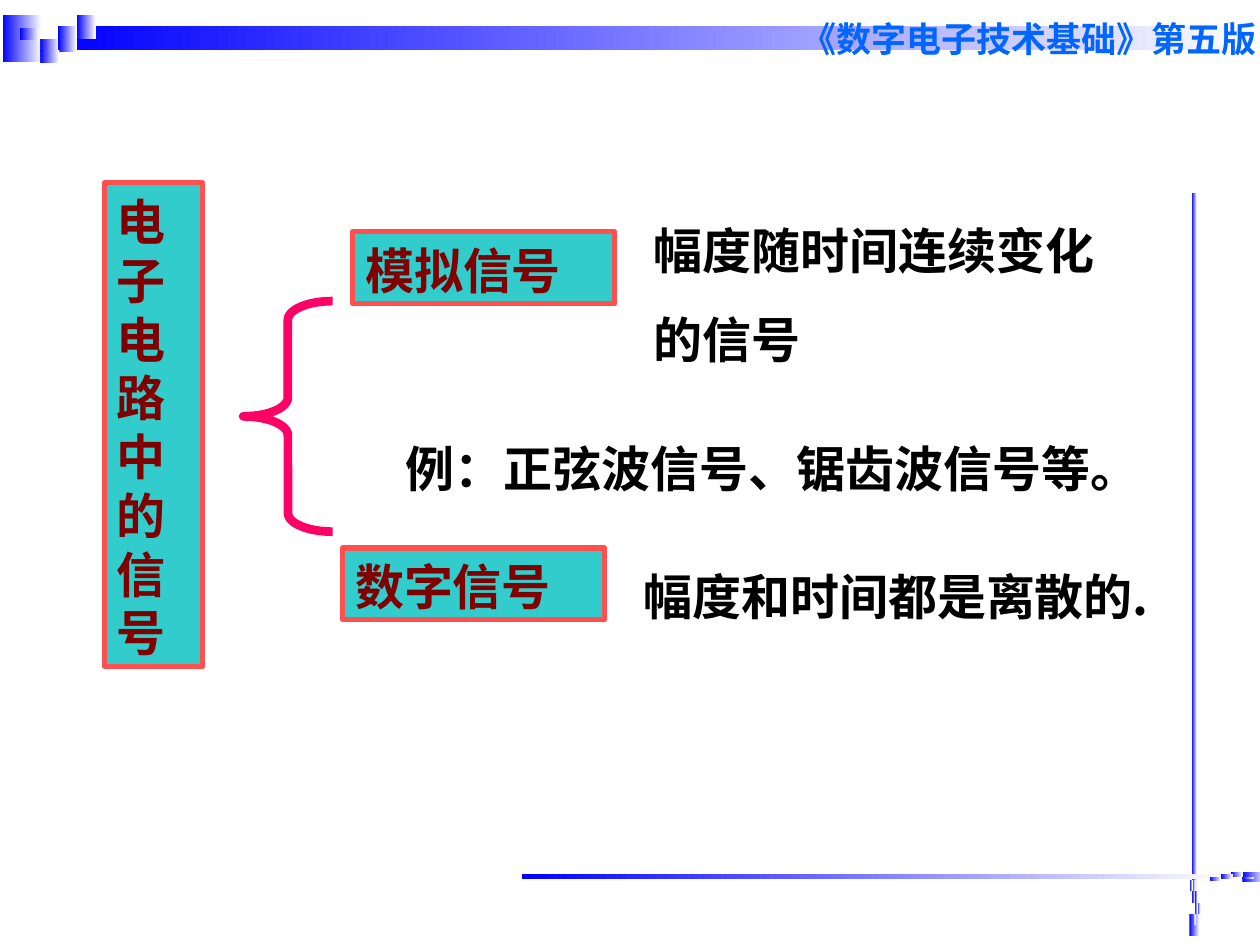
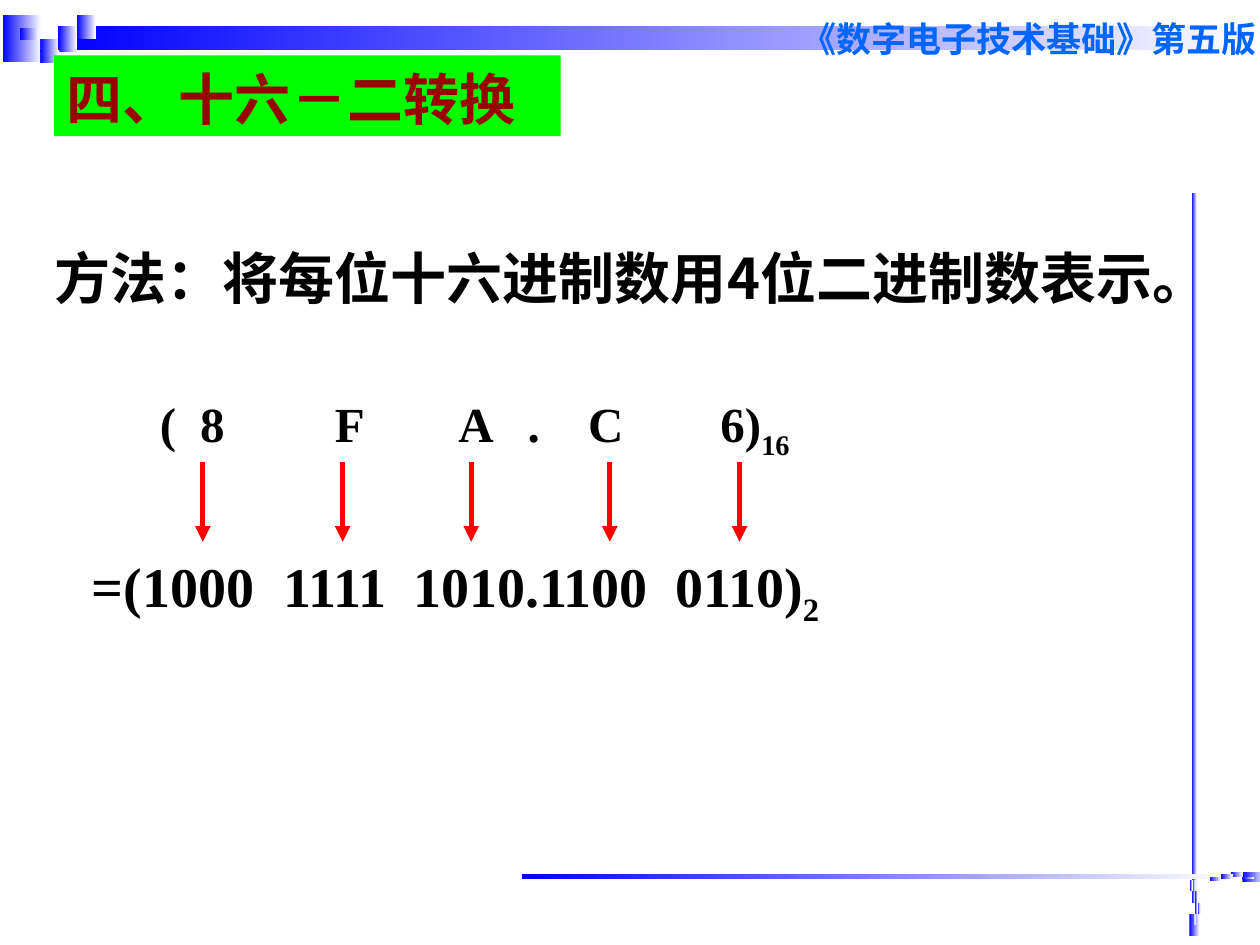
import pptx
import pptx.util
from pptx.dml.color import RGBColor
from pptx.enum.shapes import MSO_CONNECTOR, MSO_SHAPE
from pptx.enum.text import MSO_ANCHOR, MSO_AUTO_SIZE, PP_ALIGN
from pptx.oxml.ns import qn
from pptx.util import Inches, Pt
from lxml import etree

BLUE = RGBColor(0x00, 0x00, 0xFF)
WHITE = RGBColor(0xFF, 0xFF, 0xFF)
BLACK = RGBColor(0x00, 0x00, 0x00)
HEADER_BLUE = RGBColor(0x00, 0x66, 0xFF)
TEAL = RGBColor(0x33, 0xCC, 0xCC)
CORAL = RGBColor(0xFF, 0x50, 0x50)
MAROON = RGBColor(0x80, 0x00, 0x00)
PINK = RGBColor(0xFF, 0x00, 0x66)
GREEN = RGBColor(0x00, 0xFF, 0x00)
DARK_RED = RGBColor(0x99, 0x00, 0x00)
RED = RGBColor(0xFF, 0x00, 0x00)

LATIN = "Times New Roman"
CJK = "Noto Sans CJK SC"
LINE_HEIGHT = 1.2


def set_all(target, values):
    for name, value in values.items():
        setattr(target, name, value)


def inches(box):
    return [Inches(length) for length in box]


# Text

def add_span(para, text, size, color, font):
    span = para.add_run()
    span.text = text
    set_all(span.font, {"size": Pt(size), "bold": True, "name": font})
    span.font.color.rgb = color
    east_asian = etree.SubElement(span.font._element, qn("a:ea"))
    east_asian.set("typeface", CJK)
    return span


def write(shape, lines, size, color, font=LATIN, gap=17.5):
    """Fill a shape with paragraphs; a line is a string or (text, font) pairs."""
    frame = shape.text_frame
    set_all(frame, {
        "word_wrap": True, "auto_size": MSO_AUTO_SIZE.NONE,
        "vertical_anchor": MSO_ANCHOR.TOP,
        "margin_left": Inches(0.1), "margin_right": Inches(0.1),
        "margin_top": Inches(0.07), "margin_bottom": Inches(0.05)})
    for index, line in enumerate(lines):
        para = frame.add_paragraph() if index else frame.paragraphs[0]
        set_all(para, {
            "alignment": PP_ALIGN.LEFT, "line_spacing": Pt(size * LINE_HEIGHT),
            "space_before": Pt(gap if index else 0)})
        pairs = [(line, font)] if isinstance(line, str) else line
        for text, span_font in pairs:
            add_span(para, text, size, color, span_font)
    return frame


def add_text(slide, box, lines, size, color, font=LATIN):
    shape = slide.shapes.add_textbox(*inches(box))
    return write(shape, lines, size, color, font)


def place(shape, box):
    set_all(shape, dict(zip(("left", "top", "width", "height"), inches(box))))


# Shared decoration on the slide master

def add_gradient_group(slide, boxes, rotation):
    group = slide.shapes.add_group_shape()
    for box in boxes:
        bar = group.shapes.add_shape(MSO_SHAPE.RECTANGLE, *inches(box))
        set_all(bar, {"rotation": rotation})
        bar.shadow.inherit = False
        bar.line.fill.background()
        bar.fill.gradient()
        bar.fill.gradient_angle = 0
        for stop, color, position in zip(bar.fill.gradient_stops, (BLUE, WHITE), (0, 1)):
            stop.color.rgb = color
            stop.position = position
        bar._element.spPr.find(qn("a:gradFill")).set("rotWithShape", "0")
    return group


def decorate_master(deck, slide):
    def dots(corners, width, height):
        return [(left, top, width, height) for left, top in corners]

    # Top band with its checker squares
    squares = dots([(0.46, 0.21), (0.61, 0.12), (0.61, 0.21), (0.32, 0.31),
                    (0.16, 0.22), (0.46, 0.31), (0.32, 0.4)], 0.15, 0.1)
    add_gradient_group(
        slide, [(0.02, 0.12, 0.31, 0.37), (0.47, 0.21, 9.53, 0.19)] + squares, 0)
    # Right rule
    specks = dots([(9.43, 7.11), (9.41, 7.02), (9.43, 7.02), (9.45, 7.2),
                   (9.43, 7.29), (9.45, 7.11), (9.47, 7.2)], 0.09, 0.02)
    add_gradient_group(
        slide, [(9.39, 7.3, 0.18, 0.08), (6.66, 4.33, 5.64, 0.04)] + specks, 270)
    # Bottom rule
    specks = dots([(9.69, 6.96), (9.6, 6.97), (9.6, 6.96), (9.77, 6.94),
                   (9.86, 6.96), (9.69, 6.94), (9.77, 6.92)], 0.09, 0.02)
    add_gradient_group(
        slide, [(9.86, 6.92, 0.18, 0.08), (4.14, 6.94, 5.64, 0.04)] + specks, 180)
    # Book name
    add_text(slide, (6.26, 0.07, 4.06, 0.44), ["《数字电子技术基础》第五版"],
             20, HEADER_BLUE, "Arial")
    master_tree = deck.slide_master.shapes.element
    for shape in list(slide.shapes):
        master_tree.append(shape._element)


# Signal types slide

def add_label(slide, box, text):
    label = slide.shapes.add_shape(MSO_SHAPE.RECTANGLE, *inches(box))
    label.shadow.inherit = False
    label.fill.solid()
    label.fill.fore_color.rgb = TEAL
    label.line.color.rgb = CORAL
    label.line.width = Pt(3)
    write(label, [text], 28, MAROON)


def add_brace(slide, box):
    brace = slide.shapes.add_shape(MSO_SHAPE.LEFT_BRACE, *inches(box))
    brace.shadow.inherit = False
    brace.fill.background()
    brace.line.color.rgb = PINK
    brace.line.width = Pt(5)
    brace.adjustments[0] = 0.21


def build_signal_types(slide, left, top):
    def at(x, y, width, height):
        return left + x, top + y, width, height

    add_label(slide, at(0, 0, 0.78, 3.84), "电子电路中的信号")
    add_brace(slide, at(1.1, 0.94, 0.71, 1.83))
    add_label(slide, at(1.97, 0.39, 2.08, 0.57), "模拟信号")
    add_label(slide, at(1.89, 2.9, 2.08, 0.57), "数字信号")
    for box, lines, font in [
            (at(4.26, 0.23, 4.1, 1.28), ["幅度随时间连续变化", "的信号"], LATIN),
            (at(2.29, 1.96, 6.15, 0.57), ["例：正弦波信号、锯齿波信号等。"], LATIN),
            (at(4.18, 2.98, 4.27, 1.04), ["幅度和时间都是离散的."], CJK)]:
        add_text(slide, box, lines, 28, BLACK, font)


# Hexadecimal to binary slide

def add_number_row(slide, box, digits, base, size, stops):
    """Digits separated by tabs, followed by the base as a subscript."""
    frame = add_text(slide, box, ["\t".join(digits)], size, BLACK)
    para = frame.paragraphs[0]
    subscript = add_span(para, base, size, BLACK, LATIN)
    subscript.font._element.set("baseline", "-25000")
    tab_list = etree.SubElement(para._p.get_or_add_pPr(), qn("a:tabLst"))
    for stop in stops:
        etree.SubElement(tab_list, qn("a:tab"), pos=str(Inches(stop)), algn="l")


def add_arrow(slide, x, top, bottom):
    arrow = slide.shapes.add_connector(
        MSO_CONNECTOR.STRAIGHT, *inches((x, top, x, bottom)))
    arrow.line.color.rgb = RED
    arrow.line.width = Pt(3)
    etree.SubElement(arrow.line._get_or_add_ln(), qn("a:tailEnd"), type="triangle")
    etree.SubElement(arrow._element.spPr, qn("a:effectLst"))


def build_conversion_rows(slide, left, top):
    add_number_row(slide, (left + 0.54, top, 5.6, 0.63),
                   ["(", "8", "F", "A", ".", "C", "6)"], "16", 28,
                   [0.32, 1.39, 2.37, 2.92, 3.4, 4.45])
    add_number_row(slide, (left, top + 1.26, 9.37, 0.71),
                   ["=(1000", "1111", "1010.1100", "0110)"], "2", 32,
                   [1.52, 2.55, 4.63])
    for x in (0.98, 2.09, 3.11, 4.21, 5.24):
        add_arrow(slide, left + x, top + 0.55, top + 1.18)


def build_conversion(slide):
    title, body = slide.placeholders
    place(title, (0.43, 0.44, 4.02, 0.64))
    title.fill.solid()
    title.fill.fore_color.rgb = GREEN
    write(title, [[("四、", CJK), ("十六", LATIN), ("－", CJK),
                   ("二", LATIN), ("转换", CJK)]], 32, DARK_RED)

    place(body, (0.33, 1.86, 9.67, 0.64))
    frame = write(body, ["方法：将每位十六进制数用4位二进制数表示。"], 32, BLACK, CJK)
    properties = frame.paragraphs[0]._p.get_or_add_pPr()
    properties.set("marL", str(Inches(0.38)))
    properties.set("indent", str(-Inches(0.38)))
    etree.SubElement(properties, qn("a:buNone"))

    build_conversion_rows(slide, 0.63, 3.12)


def main():
    deck = pptx.Presentation()
    set_all(deck, {"slide_width": Inches(10), "slide_height": Inches(7.5)})
    blank, content = deck.slide_layouts[6], deck.slide_layouts[1]

    signal_slide = deck.slides.add_slide(blank)
    decorate_master(deck, signal_slide)
    build_signal_types(signal_slide, 0.83, 1.45)
    build_conversion(deck.slides.add_slide(content))
    deck.save("out.pptx")


if __name__ == "__main__":
    main()
